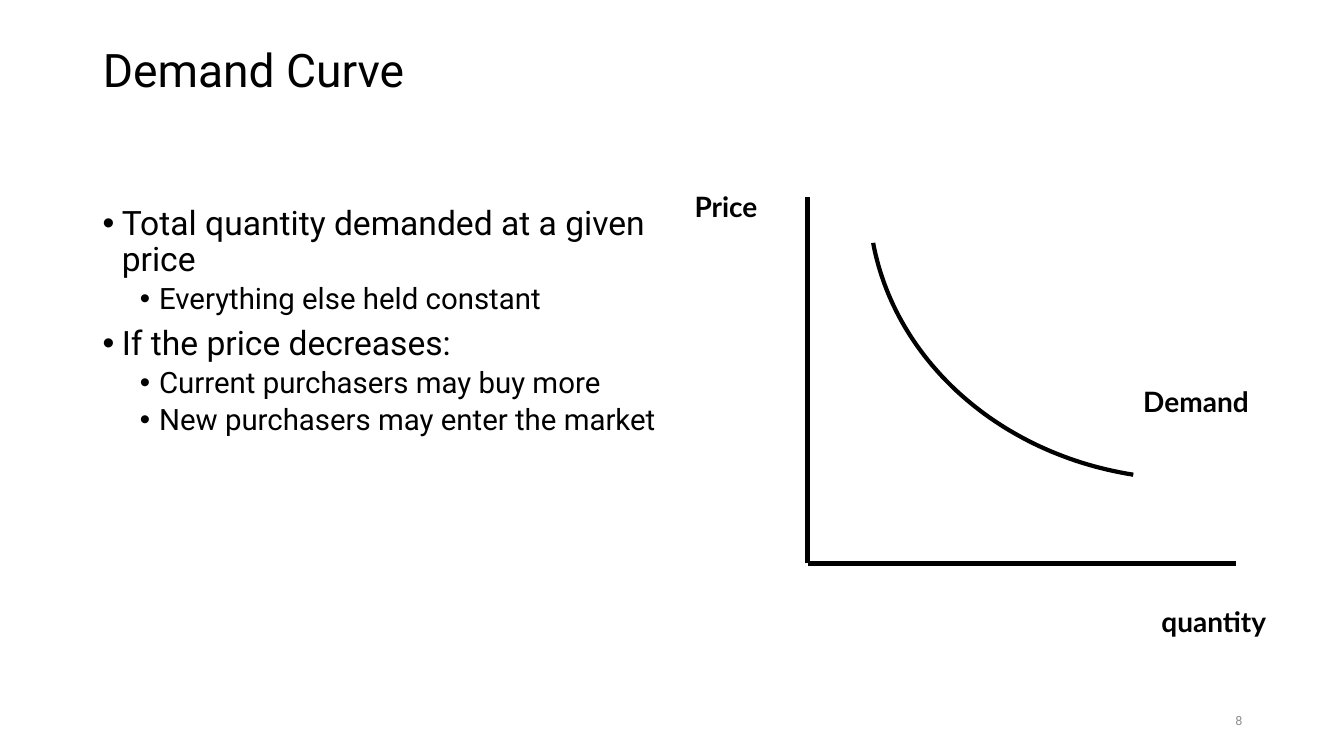
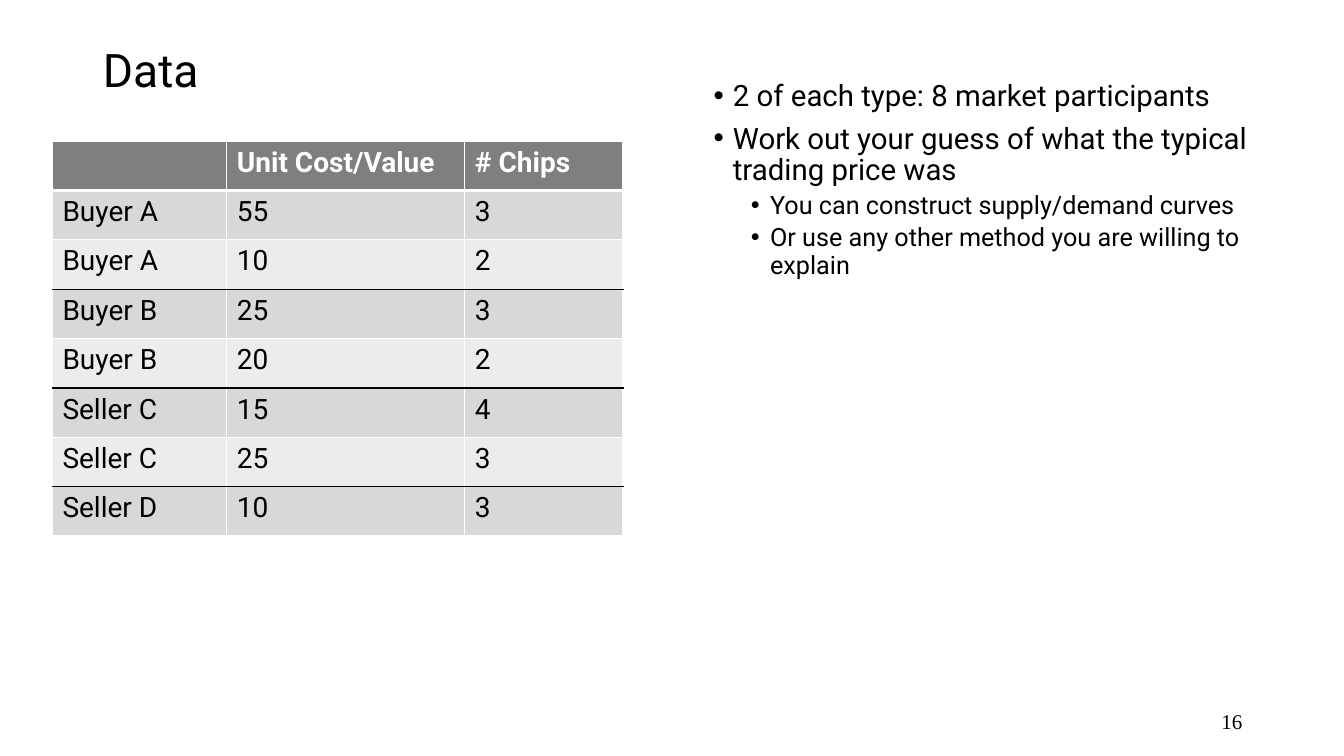
from dataclasses import dataclass

from lxml.etree import SubElement
from pptx import Presentation
from pptx.dml.color import RGBColor
from pptx.enum.shapes import MSO_CONNECTOR as Connector
from pptx.enum.text import MSO_ANCHOR as Anchor, MSO_AUTO_SIZE as AutoSize, PP_ALIGN as Align
from pptx.oxml import parse_xml
from pptx.oxml.ns import nsdecls, qn
from pptx.presentation import Presentation as Deck
from pptx.slide import Slide
from pptx.table import _Cell as Cell
from pptx.text.text import TextFrame, _Paragraph as Paragraph
from pptx.util import Inches, Pt

COLORS = {
    "ink": "000000",
    "white": "FFFFFF",
    "page": "8C8C8C",
    "header": "7F7F7F",
    "band_dark": "D8D8D8",
    "band_light": "ECECEC",
}
BODY_FONT = "Roboto"
LABEL_FONT = "Lato"
TITLE_ONLY = 5
AXIS_WIDTH = Pt(3)
Point = tuple[float, float]


@dataclass(frozen=True)
class Box:
    """A rectangle in inches."""

    left: float
    top: float
    width: float
    height: float

    def lengths(self) -> tuple[Inches, ...]:
        """Return the four measures as lengths."""
        return tuple(Inches(v) for v in (self.left, self.top, self.width, self.height))


@dataclass(frozen=True)
class Style:
    """The look of a piece of text."""

    size: float
    font: str = BODY_FONT
    color: str = "ink"
    bold: bool = False


@dataclass(frozen=True)
class Bullet:
    """One bulleted line and its outline level."""

    text: str
    level: int = 0


@dataclass(frozen=True)
class Label:
    """A name placed beside the diagram."""

    text: str
    box: Box


TITLE_BOX = Box(0.92, -0.01, 11.5, 1.45)
PAGE_BOX = Box(10.17, 6.95, 2.25, 0.4)
TITLE_STYLE = Style(33)
LABEL_STYLE = Style(20, LABEL_FONT, bold=True)
CELL_STYLE = Style(20)
HEADER_STYLE = Style(20, color="white", bold=True)

DEMAND_BULLETS = [
    Bullet("Total quantity demanded at a given price"),
    Bullet("Everything else held constant", 1),
    Bullet("If the price decreases:"),
    Bullet("Current purchasers may buy more", 1),
    Bullet("New purchasers may enter the market", 1),
]
ORIGIN: Point = (8.01, 5.59)
AXIS_ENDS: list[Point] = [(8.01, 1.95), (12.26, 5.59)]
DEMAND_CONTROLS: list[Point] = [(11.24, 4.71), (9.91, 4.5), (8.88, 3.58), (8.66, 2.41)]
DIAGRAM_LABELS = [
    Label("Demand", Box(11.24, 3.77, 1.51, 0.63)),
    Label("quantity", Box(11.42, 5.95, 1.52, 0.63)),
    Label("Price", Box(6.79, 1.83, 1, 0.64)),
]
DATA_BULLETS = [
    Bullet("2 of each type: 8 market participants"),
    Bullet("Work out your guess of what the typical trading price was"),
    Bullet("You can construct supply/demand curves", 1),
    Bullet("Or use any other method you are willing to explain", 1),
]
MARKET_ROWS = [
    ("", "Unit Cost/Value", "# Chips"),
    ("Buyer A", "55", "3"),
    ("Buyer A", "10", "2"),
    ("Buyer B", "25", "3"),
    ("Buyer B", "20", "2"),
    ("Seller C", "15", "4"),
    ("Seller C", "25", "3"),
    ("Seller D", "10", "3"),
]
COLUMN_WIDTHS = [1.73, 2.36, 1.57]


def rgb(name: str) -> RGBColor:
    """Look up a palette colour."""
    return RGBColor.from_string(COLORS[name])


def format_runs(paragraph: Paragraph, style: Style) -> None:
    """Apply a style to every run of a paragraph."""
    for run in paragraph.runs:
        run.font.size = Pt(style.size)
        run.font.name = style.font
        run.font.bold = style.bold
        run.font.color.rgb = rgb(style.color)


def add_text(slide: Slide, box: Box, text: str, style: Style, wrap: bool = True) -> TextFrame:
    """Add a text box holding one styled paragraph."""
    frame = slide.shapes.add_textbox(*box.lengths()).text_frame
    frame.word_wrap = wrap
    frame.text = text
    format_runs(frame.paragraphs[0], style)
    return frame


def add_titled_slide(deck: Deck, title: str, page: str, page_style: Style) -> Slide:
    """Add a slide with the shared title and page number."""
    slide = deck.slides.add_slide(deck.slide_layouts[TITLE_ONLY])
    heading = slide.shapes.title
    heading.left, heading.top, heading.width, heading.height = TITLE_BOX.lengths()
    frame = heading.text_frame
    frame.text = title
    frame.word_wrap = True
    frame.auto_size = AutoSize.NONE
    frame.vertical_anchor = Anchor.MIDDLE
    line = frame.paragraphs[0]
    line.alignment = Align.LEFT
    line.line_spacing = 0.9
    format_runs(line, TITLE_STYLE)

    footer = add_text(slide, PAGE_BOX, page, page_style)
    footer.vertical_anchor = Anchor.MIDDLE
    footer.paragraphs[0].alignment = Align.RIGHT
    return slide


def add_bullets(slide: Slide, box: Box, bullets: list[Bullet], sizes: tuple[float, float]) -> None:
    """Add a two-level bulleted list; sizes are given per level."""
    frame = slide.shapes.add_textbox(*box.lengths()).text_frame
    frame.word_wrap = True
    frame.text = "\n".join(bullet.text for bullet in bullets)
    for paragraph, bullet in zip(frame.paragraphs, bullets):
        paragraph.level = bullet.level
        paragraph.line_spacing = 0.9
        paragraph.space_before = Pt((7.5, 3.8)[bullet.level])
        format_runs(paragraph, Style(sizes[bullet.level]))
        props = paragraph._p.get_or_add_pPr()
        props.set("marL", str(Inches((0.19, 0.56)[bullet.level])))
        props.set("indent", str(Inches(-0.19)))
        SubElement(props, qn("a:buFont")).set("typeface", "Arial")
        SubElement(props, qn("a:buChar")).set("char", "•")


def add_axis(slide: Slide, start: Point, end: Point) -> None:
    """Draw one straight axis."""
    axis = slide.shapes.add_connector(
        Connector.STRAIGHT, *(Inches(v) for v in (*start, *end))
    )
    axis.line.color.rgb = rgb("ink")
    axis.line.width = AXIS_WIDTH
    SubElement(axis._element.spPr, qn("a:effectLst"))


def bezier_point(controls: list[Point], t: float) -> Point:
    """Return the point of a cubic Bezier curve at t."""
    weights = ((1 - t) ** 3, 3 * t * (1 - t) ** 2, 3 * t**2 * (1 - t), t**3)
    x, y = (sum(w * c for w, c in zip(weights, axis)) for axis in zip(*controls))
    return x, y


def add_curve(slide: Slide, controls: list[Point], steps: int = 60) -> None:
    """Draw an open Bezier curve as a fine outline."""
    points = [
        tuple(Inches(v) for v in bezier_point(controls, step / steps))
        for step in range(steps + 1)
    ]
    builder = slide.shapes.build_freeform(*points[0])
    builder.add_line_segments(points[1:], close=False)
    curve = builder.convert_to_shape()
    curve.shadow.inherit = False
    curve.fill.background()
    curve.line.color.rgb = rgb("ink")
    curve.line.width = AXIS_WIDTH


def set_borders(cell: Cell, top: str, bottom: str, bottom_width: float) -> None:
    """Give a cell white sides and the chosen top and bottom lines."""
    edges = [("L", "white", 1), ("R", "white", 1), ("T", top, 1), ("B", bottom, bottom_width)]
    props = cell._tc.get_or_add_tcPr()
    for index, (side, color, width) in enumerate(edges):
        props.insert(index, parse_xml(
            f'<a:ln{side} {nsdecls("a")} w="{Pt(width)}"><a:solidFill>'
            f'<a:srgbClr val="{COLORS[color]}"/></a:solidFill></a:ln{side}>'
        ))


def add_market_table(slide: Slide, box: Box) -> None:
    """Add the table of participants, ruled off after every pair of rows."""
    table = slide.shapes.add_table(
        len(MARKET_ROWS), len(COLUMN_WIDTHS), *box.lengths()
    ).table
    for column, width in zip(table.columns, COLUMN_WIDTHS):
        column.width = Inches(width)
    last = len(MARKET_ROWS) - 1
    for row, values in enumerate(MARKET_ROWS):
        is_header = row == 0
        band = "header" if is_header else "band_dark" if row % 2 else "band_light"
        top = "ink" if row > 1 and row % 2 else "white"
        bottom = "ink" if 0 < row < last and row % 2 == 0 else "white"
        for column, value in enumerate(values):
            cell = table.cell(row, column)
            cell.text = value
            format_runs(cell.text_frame.paragraphs[0], HEADER_STYLE if is_header else CELL_STYLE)
            cell.fill.solid()
            cell.fill.fore_color.rgb = rgb(band)
            set_borders(cell, top, bottom, 3 if is_header else 1)


def build_demand_slide(deck: Deck) -> None:
    """Build the slide that explains the demand curve."""
    slide = add_titled_slide(deck, "Demand Curve", "8", Style(9, color="page"))
    for end in AXIS_ENDS:
        add_axis(slide, ORIGIN, end)
    add_curve(slide, DEMAND_CONTROLS)
    for label in DIAGRAM_LABELS:
        add_text(slide, label.box, label.text, LABEL_STYLE, wrap=False)
    add_bullets(slide, Box(0.92, 2, 5.76, 4.76), DEMAND_BULLETS, (24, 21))


def build_data_slide(deck: Deck) -> None:
    """Build the slide with the market data."""
    slide = add_titled_slide(deck, "Data", "16", Style(15, "Times New Roman"))
    add_market_table(slide, Box(0.52, 1.4, 5.66, 3.92))
    add_bullets(slide, Box(6.98, 0.76, 5.51, 2.33), DATA_BULLETS, (21, 18))


def main() -> None:
    """Build and save the deck."""
    deck = Presentation()
    deck.slide_width, deck.slide_height = Inches(13.33), Inches(7.5)
    build_demand_slide(deck)
    build_data_slide(deck)
    deck.save("out.pptx")


main()
